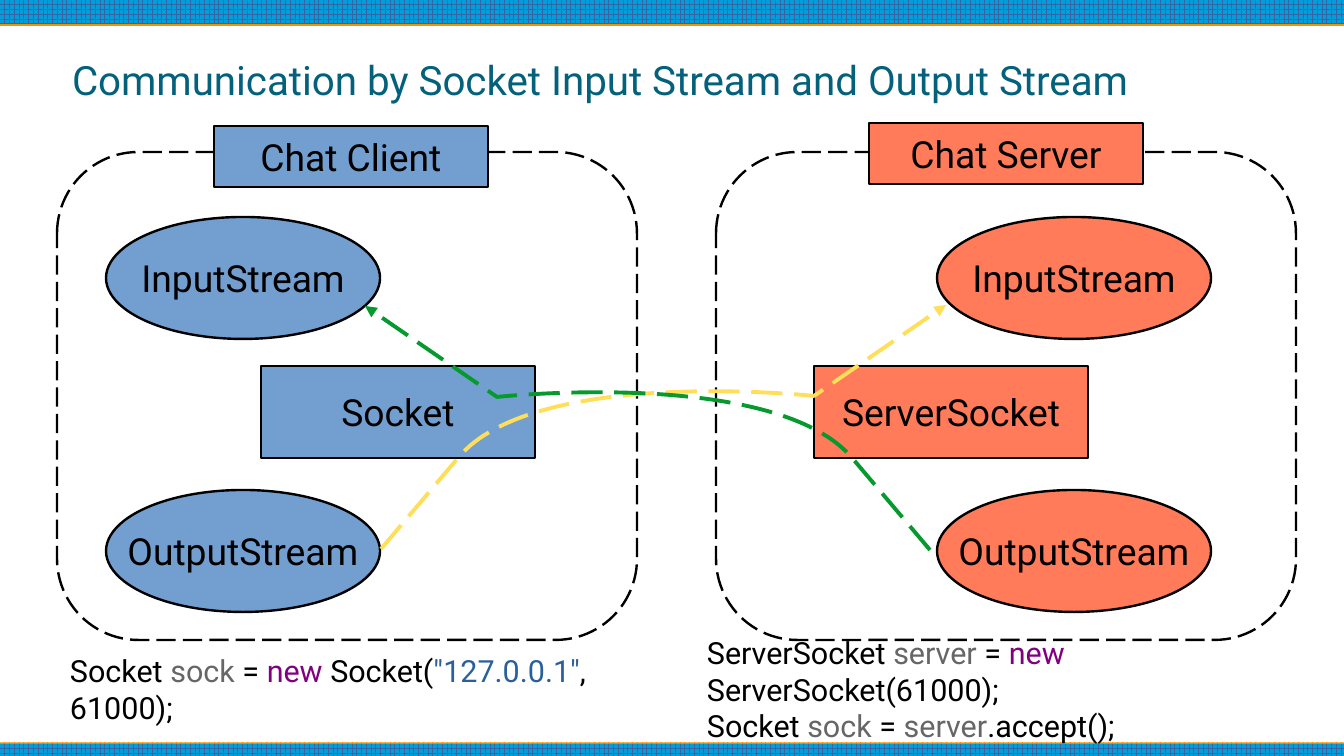
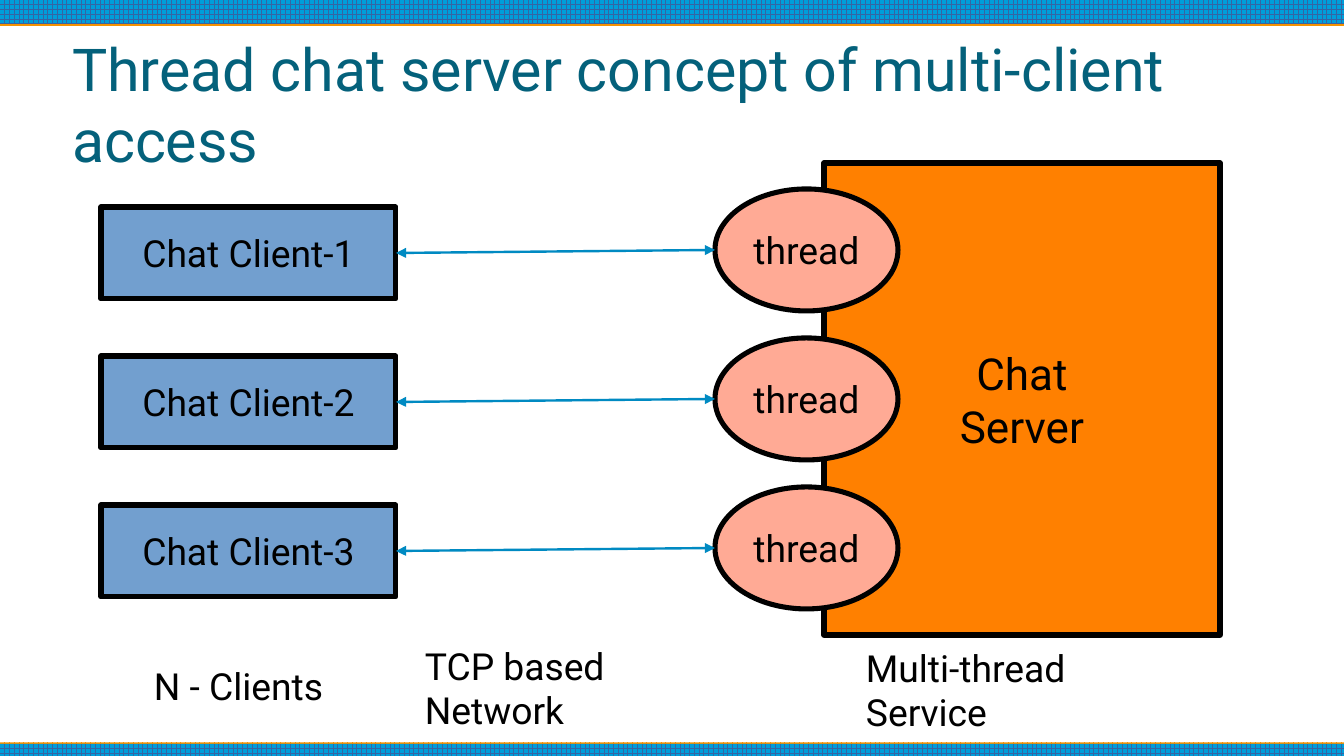
from dataclasses import dataclass

from pptx import Presentation
from pptx.dml.color import RGBColor
from pptx.enum.dml import MSO_LINE, MSO_PATTERN
from pptx.enum.shapes import MSO_CONNECTOR, MSO_SHAPE
from pptx.enum.text import MSO_ANCHOR, MSO_AUTO_SIZE, PP_ALIGN
from pptx.oxml.xmlchemy import OxmlElement
from pptx.util import Pt

PX = 7495
WIDTH, HEIGHT = 1344, 756
TITLE_ONLY = 5


@dataclass(frozen=True)
class Theme:
    font: str = "Roboto"
    ink: str = "000000"
    title: str = "04617B"
    band: str = "009EDA"
    band_grid: str = "3465A4"
    band_edge: str = "F49100"
    client: str = "729FCF"
    peer: str = "FF7B59"
    service: str = "FF8000"
    thread: str = "FFAA95"
    link: str = "008AC2"
    sent: str = "FFDE59"
    received: str = "069A2E"
    variable: str = "666666"
    keyword: str = "800080"
    literal: str = "2A6099"
    code_size: float = 18
    label_size: float = 22
    server_size: float = 26
    thin: float = 1.42
    medium: float = 2.3
    thick: float = 3


THEME = Theme()


def rgb(value):
    return RGBColor.from_string(value)


def scaled(*lengths):
    return [length * PX for length in lengths]


class SlideBuilder:
    """Draws styled elements on the current slide of a deck."""

    def __init__(self, deck, theme):
        self.deck = deck
        self.theme = theme
        self.slide = None

    def start(self, text, size, height):
        self.slide = self.deck.slides.add_slide(self.deck.slide_layouts[TITLE_ONLY])
        title = self.slide.shapes.title
        title.left, title.top, title.width, title.height = scaled(72, 37, 1200, height)
        self.fill_text(title, [text], size, color=self.theme.title, inset=0)

    def fill_text(self, shape, paragraphs, size, color=None, align=PP_ALIGN.LEFT,
                  wrap=True, inset=5):
        frame = shape.text_frame
        frame.auto_size = MSO_AUTO_SIZE.NONE
        frame.word_wrap = wrap
        frame.vertical_anchor = MSO_ANCHOR.MIDDLE
        frame.margin_left = frame.margin_right = inset * PX
        frame.margin_top = frame.margin_bottom = inset * PX
        for index, content in enumerate(paragraphs):
            para = frame.add_paragraph() if index else frame.paragraphs[0]
            para.alignment = align
            para.font.name = self.theme.font
            para.font.size = Pt(size)
            para.font.color.rgb = rgb(color or self.theme.ink)
            spans = [(content, None)] if isinstance(content, str) else content
            for text, span_color in spans:
                span = para.add_run()
                span.text = text
                if span_color:
                    span.font.color.rgb = rgb(span_color)

    def stroke(self, shape, color, width, dashed=False, arrows=()):
        shape.line.color.rgb = rgb(color)
        shape.line.width = Pt(width)
        if dashed:
            shape.line.dash_style = MSO_LINE.LONG_DASH
        outline = shape.element.xpath(".//a:ln")[0]
        for end in arrows:
            arrow = OxmlElement(f"a:{end}")
            arrow.set("type", "triangle")
            outline.append(arrow)

    def box(self, kind, at, fill, paragraphs, size=THEME.label_size, width=THEME.thin):
        box = self.slide.shapes.add_shape(kind, *scaled(*at))
        box.shadow.inherit = False
        box.fill.solid()
        box.fill.fore_color.rgb = rgb(fill)
        self.stroke(box, self.theme.ink, width)
        self.fill_text(box, paragraphs, size, align=PP_ALIGN.CENTER, wrap=False)
        return box

    def frame(self, at):
        frame = self.slide.shapes.add_shape(MSO_SHAPE.ROUNDED_RECTANGLE, *scaled(*at))
        frame.shadow.inherit = False
        frame.fill.background()
        self.stroke(frame, self.theme.ink, self.theme.thin, dashed=True)

    def label(self, at, paragraphs, size):
        label = self.slide.shapes.add_textbox(*scaled(*at))
        self.fill_text(label, paragraphs, size)

    def stream(self, points, color):
        builder = self.slide.shapes.build_freeform(*points[0], scale=PX)
        builder.add_line_segments(points[1:], close=False)
        stream = builder.convert_to_shape()
        stream.shadow.inherit = False
        stream.fill.background()
        controls = stream.element.xpath(".//a:lnTo")[1:4]
        curve = OxmlElement("a:cubicBezTo")
        controls[0].addprevious(curve)
        for control in controls:
            curve.append(control[0])
            control.getparent().remove(control)
        self.stroke(stream, color, self.theme.medium, dashed=True, arrows=["tailEnd"])

    def link(self, source, start, end):
        link = self.slide.shapes.add_connector(
            MSO_CONNECTOR.STRAIGHT, *scaled(*start, *end))
        link.begin_connect(source, 3)
        self.stroke(link, self.theme.link, self.theme.thin, arrows=["headEnd", "tailEnd"])
        link.element.spPr.append(OxmlElement("a:effectLst"))

    def master_band(self, number, top, height, angle):
        band = self.slide.shapes.add_shape(
            MSO_SHAPE.RECTANGLE, *scaled(0, top, WIDTH, height))
        band.line.fill.background()
        band.fill.patterned()
        band.fill.pattern = MSO_PATTERN.LARGE_GRID
        band.fill.fore_color.rgb = rgb(self.theme.band_grid)
        band.fill.back_color.rgb = rgb(self.theme.band)
        band.shadow.inherit = False
        edge = OxmlElement("a:outerShdw")
        edge.set("dist", str(Pt(0.9).emu))
        edge.set("dir", str(angle * 60000))
        edge.set("algn", "ctr")
        edge.set("rotWithShape", "0")
        color = OxmlElement("a:srgbClr")
        color.set("val", self.theme.band_edge)
        edge.append(color)
        band.element.xpath(".//a:effectLst")[0].append(edge)
        band.element.nvSpPr.cNvPr.id = 100 + number
        self.deck.slide_master.shapes.element.insert(2 + number, band.element)


def socket_slide(page):
    theme = page.theme
    page.start("Communication by Socket Input Stream and Output Stream", 23.8, 85)
    page.master_band(0, 0, 24, 90)
    page.master_band(1, 744, 12, 270)
    sides = (
        (theme.client, 57, "Chat Client", 214, 126, "Socket", 261, 106),
        (theme.peer, 716, "Chat Server", 869, 123, "ServerSocket", 814, 937),
    )
    for fill, left, name, name_left, name_top, socket, socket_left, oval_left in sides:
        page.frame((left, 152, 580, 488))
        page.box(MSO_SHAPE.RECTANGLE, (name_left, name_top, 274, 61), fill, [name])
        page.box(MSO_SHAPE.RECTANGLE, (socket_left, 366, 274, 92), fill, [socket])
        for oval_top, text in ((217, "InputStream"), (490, "OutputStream")):
            page.box(MSO_SHAPE.OVAL, (oval_left, oval_top, 274, 122), fill, [text])

    sent = [(381, 549), (458, 458), (534, 366), (814, 396), (814, 396), (946, 305)]
    page.stream(sent, theme.sent)
    page.stream([(1311 - x, y + 1) for x, y in sent], theme.received)

    sock, server = ("sock", theme.variable), ("server", theme.variable)
    page.label((65, 645, 592, 87), [
        [("Socket ", None), sock, (" = ", None), ("new ", theme.keyword),
         ("Socket(", None), ('"127.0.0.1"', theme.literal), (", 61000);", None)],
    ], theme.code_size)
    page.label((702, 637, 640, 104), [
        [("ServerSocket ", None), server, (" = ", None), ("new", theme.keyword),
         (" ServerSocket(61000);", None)],
        [("Socket ", None), sock, (" = ", None), server, (".accept();", None)],
    ], theme.code_size)


def thread_slide(page):
    theme = page.theme
    page.start("Thread chat server concept of multi-client access", 34.9, 132)
    page.box(MSO_SHAPE.RECTANGLE, (824, 163, 396, 472), theme.service,
             ["Chat", "Server"], theme.server_size, theme.thick)
    for index in range(3):
        shift = index * 149
        client = page.box(MSO_SHAPE.RECTANGLE, (101, 207 + shift, 295, 92), theme.client,
                          [f"Chat Client-{index + 1}"], width=theme.thick)
        page.box(MSO_SHAPE.OVAL, (715, 189 + shift, 183, 122), theme.thread,
                 ["thread"], width=theme.thick)
        page.link(client, (396, 253 + shift), (715, 250 + shift))
    for left, top, width, text in (
        (149, 630, 183, "N - Clients"),
        (420, 632, 330, "TCP based Network"),
        (861, 634, 330, "Multi-thread Service"),
    ):
        page.label((left, top, width, 111), [text], theme.label_size)


def main():
    deck = Presentation()
    deck.slide_width, deck.slide_height = scaled(WIDTH, HEIGHT)
    page = SlideBuilder(deck, THEME)
    socket_slide(page)
    thread_slide(page)
    deck.save("out.pptx")


if __name__ == "__main__":
    main()
